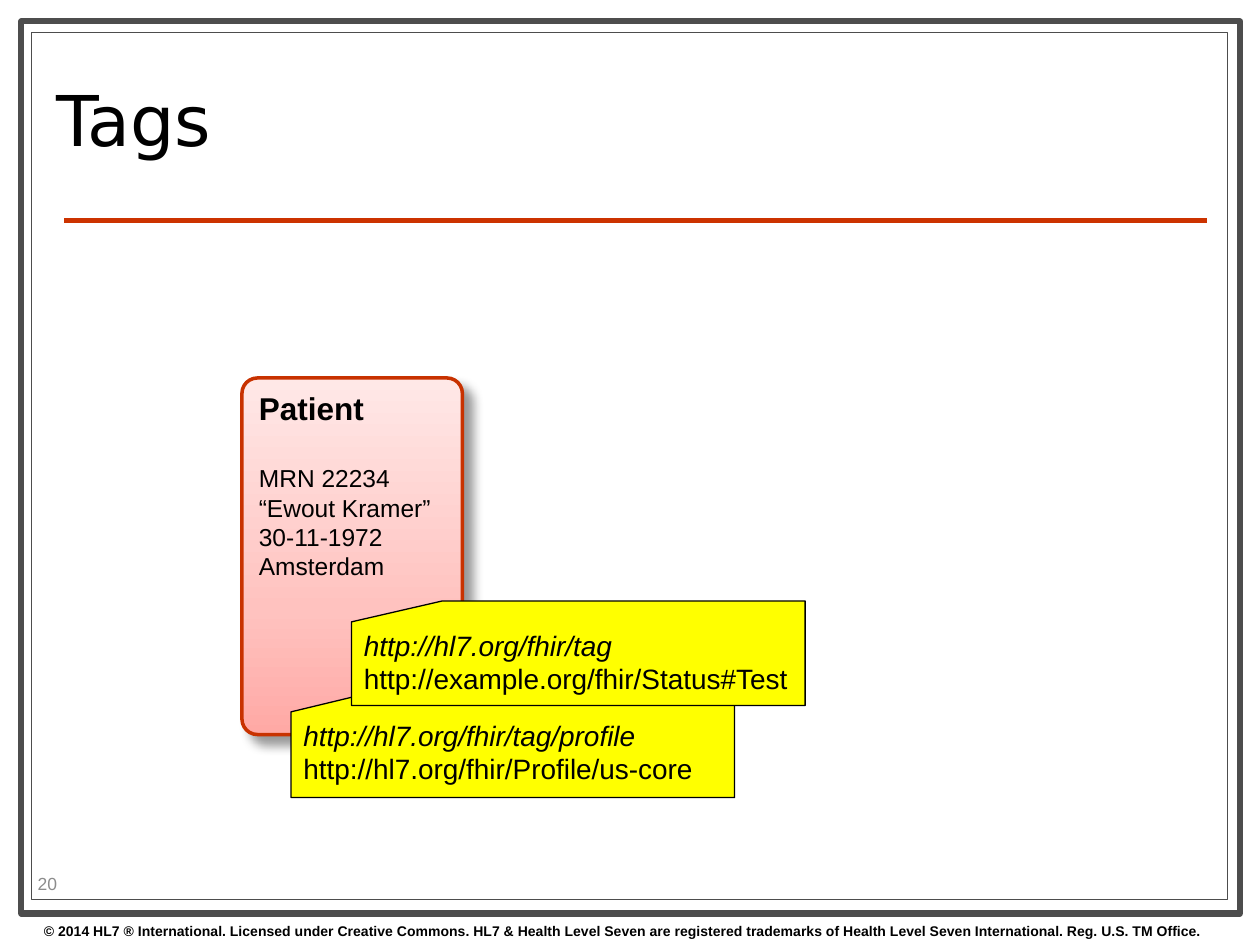
from lxml.etree import SubElement
from pptx import Presentation
from pptx.dml.color import RGBColor
from pptx.enum.shapes import MSO_CONNECTOR, MSO_SHAPE
from pptx.enum.text import MSO_ANCHOR, PP_ALIGN
from pptx.oxml.ns import qn
from pptx.util import Inches, Pt

TITLE = "Tags"
PAGE_NUMBER = "20"
COPYRIGHT = (
    "© 2014 HL7 ® International. Licensed under Creative Commons. "
    "HL7 & Health Level Seven are registered trademarks of "
    "Health Level Seven International. Reg. U.S. TM Office."
)
FRAMES = [((0.17, 0.17, 9.67, 7.08), 3.5), ((0.25, 0.26, 9.49, 6.88), 0.75)]
PATIENT_HEADING = "Patient"
PATIENT_DETAILS = ["MRN 22234", "“Ewout Kramer”", "30-11-1972", "Amsterdam"]
PATIENT_GRADIENT = [(0, "FFA9A5"), (35, "FFC2BF"), (100, "FFE8E7")]
TAGS = [
    ((2.31, 5.48, 3.52, 0.85), "http://hl7.org/fhir/tag/profile",
     "http://hl7.org/fhir/Profile/us-core"),
    ((2.79, 4.77, 3.6, 0.83), "http://hl7.org/fhir/tag",
     "http://example.org/fhir/Status#Test"),
]


def color(value):
    """Turn a hex string into a colour."""
    return RGBColor.from_string(value)


def box(measures):
    """Turn left, top, width and height in inches into lengths."""
    return [Inches(measure) for measure in measures]


def style(paragraph, size, name="Arial", fill="000000", bold=False):
    """Left-align a paragraph and set its font."""
    paragraph.alignment = PP_ALIGN.LEFT
    font = paragraph.font
    font.size, font.name, font.bold = Pt(size), name, bold
    font.color.rgb = color(fill)


def add_shape(slide, kind, measures, line, width, fill=None):
    """Add a flat outlined shape whose text starts at the top."""
    shape = slide.shapes.add_shape(kind, *box(measures))
    shape.shadow.inherit = False
    shape.line.color.rgb = color(line)
    shape.line.width = Pt(width)
    if fill:
        shape.fill.solid()
        shape.fill.fore_color.rgb = color(fill)
    shape.text_frame.word_wrap = True
    shape.text_frame.vertical_anchor = MSO_ANCHOR.TOP
    return shape


def add_text(slide, measures, text, size, **font):
    """Add a one-line text box."""
    frame = slide.shapes.add_textbox(*box(measures)).text_frame
    frame.word_wrap = True
    frame.vertical_anchor = MSO_ANCHOR.MIDDLE
    frame.text = text
    style(frame.paragraphs[0], size, **font)


def add_color(parent, tag, value, **attributes):
    """Append an element that holds one colour and return the colour."""
    element = SubElement(parent, qn(tag), attributes)
    return SubElement(element, qn("a:srgbClr"), val=value)


def add_title(slide):
    """Fill the title and lift it above the frames."""
    title = slide.shapes.title
    title.left, title.top, title.width, title.height = box((0.35, 0.36, 7.17, 1.29))
    title.text_frame.text = TITLE
    title.text_frame.vertical_anchor = MSO_ANCHOR.MIDDLE
    paragraph = title.text_frame.paragraphs[0]
    paragraph.line_spacing = 0.8
    style(paragraph, 40, "DejaVu Sans")
    slide.shapes._spTree.append(title._element)


def add_rule(slide):
    """Draw the line under the title."""
    rule = slide.shapes.add_connector(
        MSO_CONNECTOR.STRAIGHT, *box((0.51, 1.75, 9.58, 1.75)))
    rule.line.color.rgb = color("CC3300")
    rule.line.width = Pt(3)
    SubElement(rule._element.spPr, qn("a:effectLst"))


def add_patient(slide):
    """Draw the patient card with its gradient and shadow."""
    card = add_shape(slide, MSO_SHAPE.ROUNDED_RECTANGLE, (1.92, 3, 1.75, 2.83), "C83200", 2)
    card.adjustments[0] = 0.07
    card.fill.gradient()
    card.fill.gradient_angle = 90
    properties = card._element.spPr
    stops = properties.find(".//" + qn("a:gsLst"))
    stops.clear()
    for position, value in PATIENT_GRADIENT:
        add_color(stops, "a:gs", value, pos=str(position * 1000))
    shade = add_color(
        properties.find(qn("a:effectLst")), "a:outerShdw", "000000",
        blurRad=str(Pt(6)), dist=str(Pt(7)), dir="2700000", algn="tl", rotWithShape="0")
    SubElement(shade, qn("a:alpha"), val="40000")

    frame = card.text_frame
    frame.text = "\n".join([PATIENT_HEADING, *PATIENT_DETAILS])
    heading, *details = frame.paragraphs
    style(heading, 18, bold=True)
    for paragraph in details:
        style(paragraph, 14)
    details[0].space_before = Pt(21)


def add_tag(slide, measures, scheme, term):
    """Draw a tag card with its scheme in italics above its term."""
    card = add_shape(
        slide, MSO_SHAPE.FLOWCHART_CARD, measures, "000000", 0.75, "FFFF00")
    paragraph = card.text_frame.paragraphs[0]
    style(paragraph, 16)
    run = paragraph.add_run()
    run.text = scheme
    run.font.italic = True
    paragraph.add_line_break()
    paragraph.add_run().text = term


def main():
    """Build the slide and save it."""
    presentation = Presentation()
    presentation.slide_width, presentation.slide_height = Inches(10), Inches(7.5)
    slide = presentation.slides.add_slide(presentation.slide_layouts[5])
    for measures, width in FRAMES:
        add_shape(slide, MSO_SHAPE.RECTANGLE, measures, "4D4D4D", width, "FFFFFF")
    add_rule(slide)
    add_text(slide, (0.25, 7.27, 9.75, 0.23), COPYRIGHT, 8, bold=True)
    add_title(slide)
    add_text(slide, (0.2, 6.89, 0.79, 0.24), PAGE_NUMBER, 10, fill="8C8C8C")
    add_patient(slide)
    for tag in TAGS:
        add_tag(slide, *tag)
    presentation.save("out.pptx")


if __name__ == "__main__":
    main()
